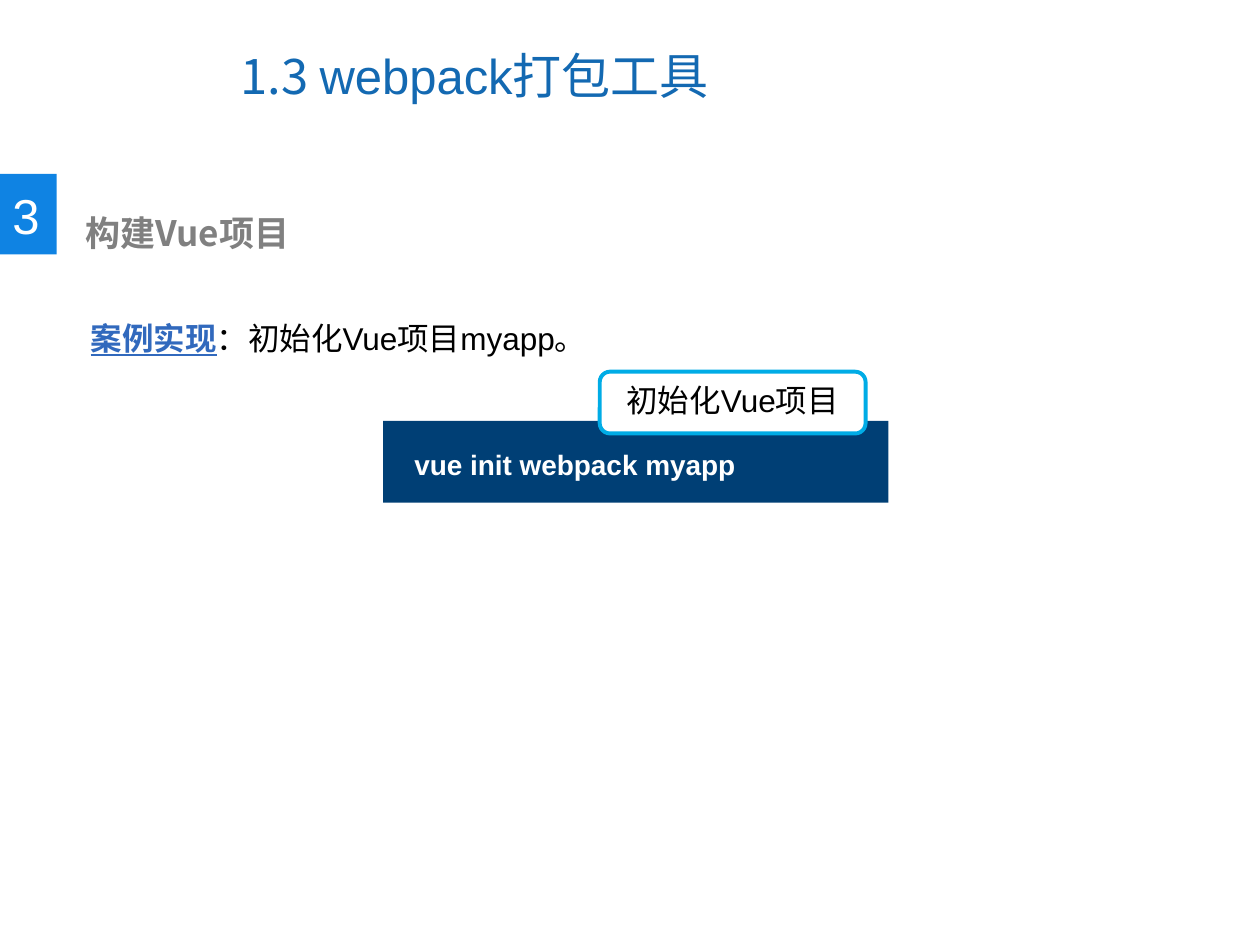
from lxml import etree
from pptx import Presentation
from pptx.dml.color import RGBColor
from pptx.enum.shapes import MSO_SHAPE
from pptx.enum.text import MSO_ANCHOR, PP_ALIGN
from pptx.oxml.ns import qn
from pptx.util import Inches, Pt

RECTANGLE, ROUNDED = MSO_SHAPE.RECTANGLE, MSO_SHAPE.ROUNDED_RECTANGLE
LEFT, CENTER = PP_ALIGN.LEFT, PP_ALIGN.CENTER
TOP, MIDDLE = MSO_ANCHOR.TOP, MSO_ANCHOR.MIDDLE

TITLE_BLUE = RGBColor(0x13, 0x69, 0xB2)
BADGE_BLUE = RGBColor(0x0F, 0x83, 0xE3)
LINK_BLUE = RGBColor(0x31, 0x69, 0xBD)
CODE_NAVY = RGBColor(0x00, 0x3F, 0x75)
CALLOUT_CYAN = RGBColor(0x00, 0xAC, 0xE6)
GRAY = RGBColor(0x80, 0x80, 0x80)
BLACK = RGBColor(0, 0, 0)
WHITE = RGBColor(0xFF, 0xFF, 0xFF)

ARIAL = "Arial"
CJK = "Noto Sans CJK SC"


def write_line(frame, parts, size, color, align=LEFT, spacing=None):
    """Write one paragraph from (text, font name, run settings) parts."""
    para = frame.paragraphs[0]
    para.alignment = align
    if spacing:
        para.line_spacing = spacing
    para.font.size = Pt(size)
    para.font.color.rgb = color
    for text, name, settings in parts:
        span = para.add_run()
        span.text = text
        span.font.size = Pt(size)
        span.font.color.rgb = settings.get("color", color)
        span.font.bold = settings.get("bold", False)
        span.font.underline = settings.get("underline", False)
        span.font.name = name
        # East Asian typeface for the Chinese characters
        etree.SubElement(span.font._element, qn("a:ea"), typeface=CJK)


def add_text(shapes, bounds, parts, size, color, wrap=True, spacing=None):
    box = shapes.add_textbox(*map(Inches, bounds))
    box.text_frame.word_wrap = wrap
    write_line(box.text_frame, parts, size, color, spacing=spacing)
    return box


def add_panel(shapes, kind, bounds, fill, line=None):
    panel = shapes.add_shape(kind, *map(Inches, bounds))
    panel.shadow.inherit = False
    panel.fill.solid()
    panel.fill.fore_color.rgb = fill
    if line is None:
        panel.line.fill.background()
    else:
        panel.line.color.rgb = line
        panel.line.width = Pt(2.25)
    return panel


def set_title(page, bounds, parts):
    title = page.shapes.title
    title.left, title.top, title.width, title.height = map(Inches, bounds)
    title.text_frame.vertical_anchor = MIDDLE
    write_line(title.text_frame, parts, 28, TITLE_BLUE)


def main():
    deck = Presentation()
    deck.slide_width, deck.slide_height = Inches(10), Inches(7.5)
    page = deck.slides.add_slide(deck.slide_layouts[5])

    # Title
    set_title(page, (1.81, 0.17, 5.16, 0.85),
              [("1.3 ", CJK, {}), ("webpack", ARIAL, {}), ("打包工具", CJK, {})])

    # Section number and heading
    badge = page.shapes.add_group_shape().shapes
    add_panel(badge, RECTANGLE, (0, 1.38, 0.45, 0.64), BADGE_BLUE)
    add_text(badge, (0, 1.42, 0.42, 0.57), [("3", ARIAL, {})], 28, WHITE, wrap=False)
    heading = add_text(page.shapes, (0.47, 1.63, 5.14, 0.44),
                       [("构建Vue项目", CJK, {"bold": True})], 20, GRAY)
    heading.text_frame.margin_left = Inches(0.21)

    # Task statement
    add_text(page.shapes, (0.62, 2.18, 8.65, 0.71),
             [("案例实现", ARIAL, {"color": LINK_BLUE, "bold": True, "underline": True}),
              ("：初始化Vue项目myapp。", ARIAL, {})], 18, BLACK, spacing=2.0)

    # Command
    command = page.shapes.add_group_shape().shapes
    add_panel(command, RECTANGLE, (3.04, 3.34, 4.01, 0.65), CODE_NAVY)
    add_text(command, (3.19, 3.37, 3.86, 0.26),
             [("vue init webpack myapp", ARIAL, {"bold": True})], 16, WHITE, spacing=1.5)

    # Callout over the command
    callout = add_panel(page.shapes, ROUNDED, (4.76, 2.95, 2.11, 0.49), WHITE, CALLOUT_CYAN)
    callout.text_frame.vertical_anchor = TOP
    write_line(callout.text_frame, [("初始化Vue项目", ARIAL, {})], 18, BLACK, CENTER)

    deck.save("out.pptx")


if __name__ == "__main__":
    main()
